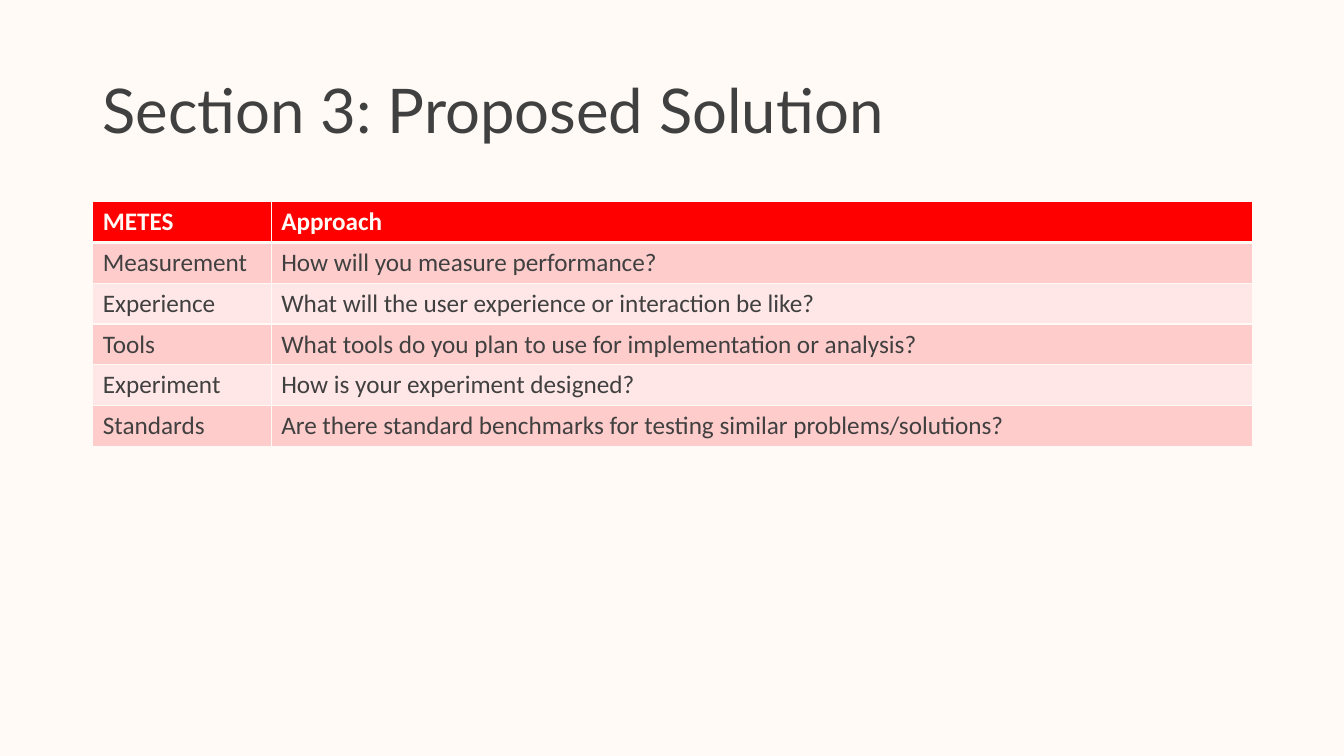
import pptx
import pptx.dml.color
import pptx.enum.text
import pptx.oxml
import pptx.oxml.ns
import pptx.util

Inches = pptx.util.Inches
Pt = pptx.util.Pt

CREAM, GREY, RED = "FFFAF5", "404040", "FF0000"
BANDS = ["FFCCCC", "FFE7E7"]
METES = [
    ("METES", "Approach"),
    ("Measurement", "How will you measure performance?"),
    ("Experience", "What will the user experience or interaction be like?"),
    ("Tools", "What tools do you plan to use for implementation or analysis?"),
    ("Experiment", "How is your experiment designed?"),
    ("Standards", "Are there standard benchmarks for testing similar problems/solutions?"),
]


def color(code):
    return pptx.dml.color.RGBColor.from_string(code)


class SlideBuilder:
    """Holds the style and the current slide."""

    title_font, body_font = "Lato", "Calibri"
    title_size, body_size = 44, 18

    def __init__(self, page):
        self.page = page

    def background(self, code):
        fill = self.page.background.fill
        fill.solid()
        fill.fore_color.rgb = color(code)

    def style(self, para, font, size, code, bold=False):
        for span in para.runs:
            span.font.name = font
            span.font.size = Pt(size)
            span.font.bold = bold
            span.font.color.rgb = color(code)

    def title(self, text, left, top, width, height):
        box = self.page.shapes.add_textbox(
            Inches(left), Inches(top), Inches(width), Inches(height))
        frame = box.text_frame
        frame.word_wrap = True
        frame.vertical_anchor = pptx.enum.text.MSO_ANCHOR.MIDDLE
        frame.text = text
        para = frame.paragraphs[0]
        para.line_spacing = 0.9
        self.style(para, self.title_font, self.title_size, GREY)

    def borders(self, cell, widths):
        properties = cell._tc.get_or_add_tcPr()
        for index, (side, width) in enumerate(widths.items()):
            line = pptx.oxml.parse_xml(
                f'<a:ln{side} {pptx.oxml.ns.nsdecls("a")} w="{Pt(width)}">'
                f'<a:solidFill><a:srgbClr val="{CREAM}"/></a:solidFill></a:ln{side}>')
            properties.insert(index, line)

    def table(self, rows, left, top, column_widths, row_height):
        table = self.page.shapes.add_table(
            len(rows), len(column_widths), Inches(left), Inches(top),
            Inches(sum(column_widths)), Inches(row_height * len(rows))).table
        for column, width in zip(table.columns, column_widths):
            column.width = Inches(width)
        for r, texts in enumerate(rows):
            header = r == 0
            for c, text in enumerate(texts):
                cell = table.cell(r, c)
                cell.text_frame.text = text
                self.style(cell.text_frame.paragraphs[0], self.body_font,
                           self.body_size, CREAM if header else GREY, header)
                cell.fill.solid()
                cell.fill.fore_color.rgb = color(RED if header else BANDS[(r - 1) % 2])
                # A thick rule separates the header from the body
                self.borders(cell, {"L": 1, "R": 1, "T": 3 if r == 1 else 1,
                                    "B": 3 if header else 1})


def main():
    deck = pptx.Presentation()
    deck.slide_width, deck.slide_height = Inches(13.33), Inches(7.5)
    builder = SlideBuilder(deck.slides.add_slide(deck.slide_layouts[6]))
    builder.background(CREAM)

    # Heading
    builder.title("Section 3: Proposed Solution", 0.92, 0.4, 11.5, 1.45)

    # METES table
    builder.table(METES, 0.92, 2, [1.77, 9.73], 0.405)

    deck.save("out.pptx")


if __name__ == "__main__":
    main()
